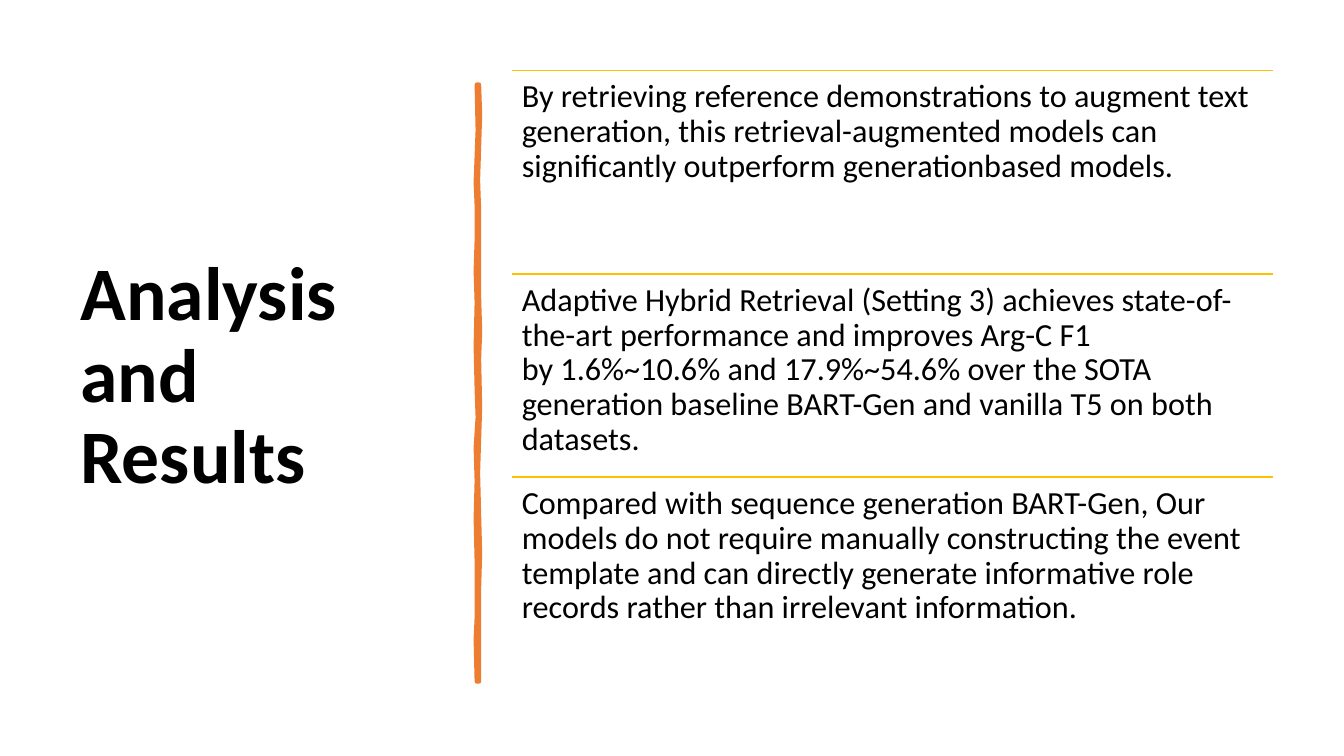
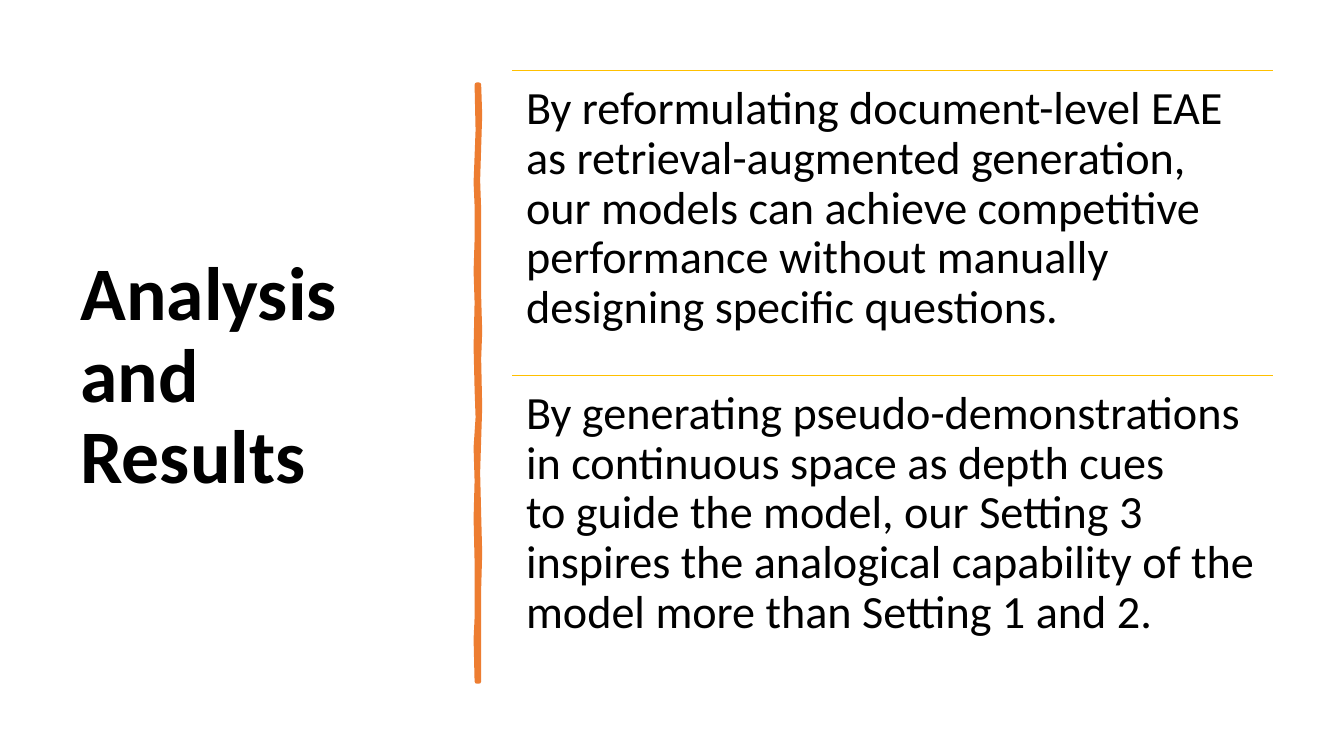
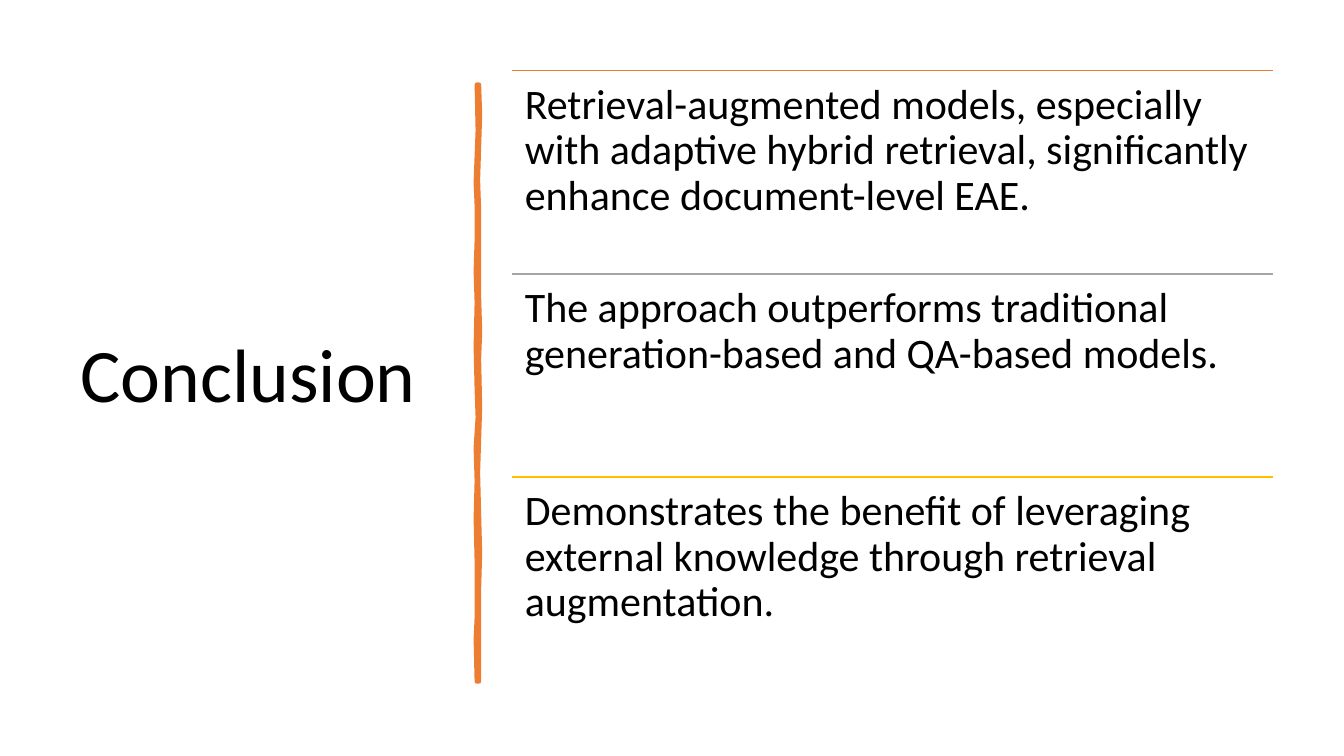
import pptx
import pptx.dml.color
import pptx.enum.shapes
import pptx.enum.text
import pptx.util
from lxml import etree

Inches = pptx.util.Inches
Pt = pptx.util.Pt
RGBColor = pptx.dml.color.RGBColor

BLACK = RGBColor(0x00, 0x00, 0x00)
ORANGE = RGBColor(0xED, 0x7D, 0x31)
GRAY = RGBColor(0xA5, 0xA5, 0xA5)
GOLD = RGBColor(0xFF, 0xC0, 0x00)
FONT = "Calibri"
HARD_SPACE = chr(160)
DRAWING = "{http://schemas.openxmlformats.org/drawingml/2006/main}"

TITLE_BOX = (0.7, 0.69, 3.74, 6.11)
DIVIDER_BOX = (4.72, 0.84, 0.03, 5.92)
POINTS_BOX = (5.08, 0.7, 7.55, 6.05)

RIGHT_EDGE = [(0.03, 0), (0.04, 0.3), (0.03, 0.62), (0.02, 0.95), (0.03, 1.24),
              (0.03, 2.1), (0.04, 2.45), (0.03, 2.72), (0.04, 3.2), (0.03, 3.52),
              (0.02, 3.85), (0.03, 4.26), (0.04, 4.65), (0.03, 5), (0.03, 5.35), (0.03, 5.92)]
LEFT_EDGE = [(0.01, 5.92), (0, 5.5), (0.01, 5.29), (0.01, 4.73), (0, 4.3),
             (0.01, 3.93), (0, 3.6), (0.02, 3.3), (0.01, 3.02), (0, 2.6),
             (0.01, 2.16), (0, 1.85), (0.01, 1.54), (0.01, 1.2), (0, 0.97),
             (0.02, 0.45), (0.01, 0)]

SLIDES = [
    {"title": "Analysis and Results", "bold": True, "size": 23, "points": [
        (GOLD, "By retrieving reference demonstrations to augment text generation, this retrieval-augmented models can significantly outperform generationbased models."),
        (GOLD, "Adaptive Hybrid Retrieval (Setting 3) achieves state-of-the-art performance and improves Arg-C F1 "
         + HARD_SPACE.join(["by", "1.6%~10.6%", "and", "17.9%~54.6%", "over"])
         + " the SOTA generation baseline BART-Gen and vanilla T5 on both datasets."),
        (GOLD, "Compared with sequence generation BART-Gen, Our models do not require manually constructing the event template and can directly generate informative role records rather than irrelevant information."),
    ]},
    {"title": "Analysis and Results", "bold": True, "size": 33, "points": [
        (GOLD, "By reformulating document-level EAE as retrieval-augmented generation, our models can achieve competitive performance without manually designing specific questions."),
        (GOLD, "By generating pseudo-demonstrations in continuous space as depth cues "
         + HARD_SPACE.join(["to", "guide"])
         + " the model, our Setting 3 inspires the analogical capability of the "
         + HARD_SPACE.join(["model", "more"]) + " than Setting 1 and 2."),
    ]},
    {"title": "Conclusion", "bold": False, "size": 30, "points": [
        (ORANGE, "Retrieval-augmented models, especially with adaptive hybrid retrieval, significantly enhance document-level EAE."),
        (GRAY, "The approach outperforms traditional generation-based and QA-based models."),
        (GOLD, "Demonstrates the benefit of leveraging external knowledge through retrieval augmentation."),
    ]},
]


def set_values(target, values):
    for name, value in values.items():
        setattr(target, name, value)


def add_text(page, box, text, size, bold, anchor, inset_x, inset_y):
    frame = page.shapes.add_textbox(*map(Inches, box)).text_frame
    set_values(frame, {
        "word_wrap": True, "vertical_anchor": anchor,
        "margin_left": inset_x, "margin_right": inset_x,
        "margin_top": inset_y, "margin_bottom": inset_y})
    para = frame.paragraphs[0]
    para.line_spacing = 0.9
    span = para.add_run()
    span.text = text
    set_values(span.font, {"name": FONT, "size": Pt(size), "bold": bold})
    span.font.color.rgb = BLACK


def add_title(page, box, text, bold):
    add_text(page, box, text, 54, bold, pptx.enum.text.MSO_ANCHOR.MIDDLE,
             Inches(0.1), Inches(0.05))


def add_divider(page, box):
    left, top = box[:2]
    outline = [(Inches(left + x), Inches(top + y)) for x, y in RIGHT_EDGE + LEFT_EDGE]
    builder = page.shapes.build_freeform(*outline[0])
    builder.add_line_segments(outline[1:], close=True)
    divider = builder.convert_to_shape()
    divider.shadow.inherit = False
    divider.fill.solid()
    divider.fill.fore_color.rgb = ORANGE
    divider.line.color.rgb = ORANGE
    divider.line.width = Pt(3.25)
    etree.SubElement(divider.line._get_or_add_ln(), DRAWING + "round")


def add_rule(page, left, top, width, color):
    rule = page.shapes.add_connector(
        pptx.enum.shapes.MSO_CONNECTOR.STRAIGHT,
        Inches(left), Inches(top), Inches(left + width), Inches(top))
    rule.line.color.rgb = color
    rule.line.width = Pt(1)
    etree.SubElement(rule._element.spPr, DRAWING + "effectLst")


def add_points(page, box, points, size):
    left, top, width, height = box
    row_height = height / len(points)
    inset = Pt(size * 0.3)
    for index, (color, text) in enumerate(points):
        row_top = top + index * row_height
        add_rule(page, left, row_top, width, color)
        add_text(page, (left, row_top, width, row_height), text, size, False,
                 pptx.enum.text.MSO_ANCHOR.TOP, inset, inset)


def add_page(deck, content):
    page = deck.slides.add_slide(deck.slide_layouts[6])
    add_title(page, TITLE_BOX, content["title"], content["bold"])
    add_divider(page, DIVIDER_BOX)
    add_points(page, POINTS_BOX, content["points"], content["size"])


def main():
    deck = pptx.Presentation()
    set_values(deck, {"slide_width": Inches(13.33), "slide_height": Inches(7.5)})
    for content in SLIDES:
        add_page(deck, content)
    deck.save("out.pptx")


if __name__ == "__main__":
    main()
